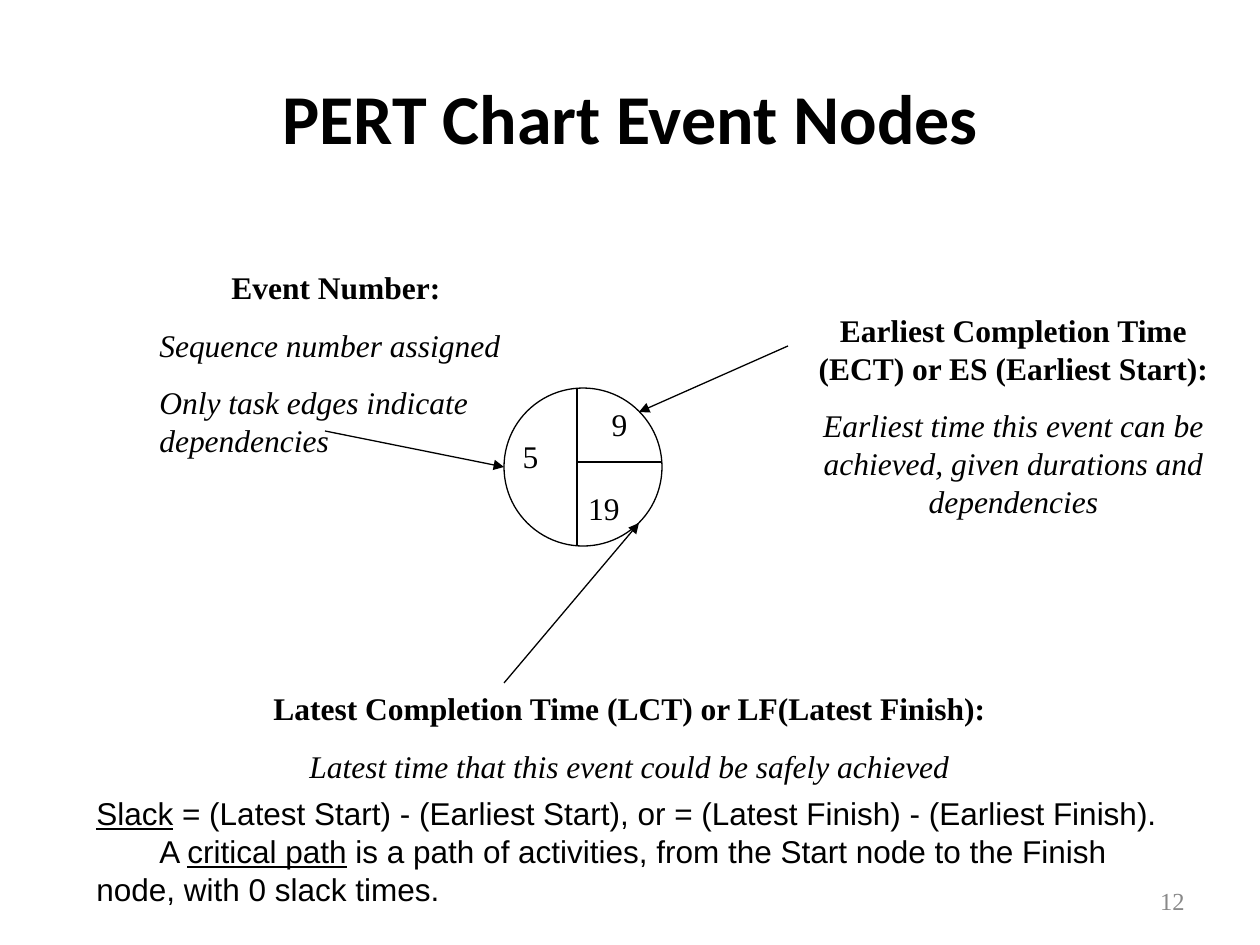
"""Build the slide that explains the parts of a PERT chart event node."""
from dataclasses import dataclass

from lxml.etree import SubElement
from pptx import Presentation
from pptx.dml.color import RGBColor
from pptx.enum.shapes import MSO_CONNECTOR, MSO_SHAPE
from pptx.enum.text import MSO_ANCHOR, PP_ALIGN
from pptx.oxml.ns import qn
from pptx.util import Pt


@dataclass(frozen=True)
class Theme:
    ink: RGBColor = RGBColor(0, 0, 0)
    paper: RGBColor = RGBColor(255, 255, 255)
    muted: RGBColor = RGBColor(0x89, 0x89, 0x89)
    title_font: str = "Calibri"
    label_font: str = "Times New Roman"
    note_font: str = "Arial"
    title_size: int = 40
    text_size: int = 18
    number_size: int = 14
    paragraph_gap: float = 11.2
    line_width: float = 0.75


THEME = Theme()
EMU_PER_PX = 914400 / 126
SLIDE_SIZE = (1260, 945)

TITLE = "PERT Chart Event Nodes"
TITLE_BOX = (63, 38, 1134, 157)
SLIDE_NUMBER = "12"
SLIDE_NUMBER_BOX = (903, 876, 294, 50)

NODE_BOX = (504, 388, 158, 158)
DIVIDERS = [((577, 388), (577, 546)), ((577, 462), (662, 462))]
NODE_VALUES = [
    ("5", (504, 431, 53, 50)),
    ("9", (588, 399, 63, 50)),
    ("19", (557, 483, 94, 50)),
]

CALLOUTS = [
    {
        "box": (147, 262, 378, 204),
        "heading": "Event Number:",
        "details": ["Sequence number assigned", "Only task edges indicate dependencies"],
        "align": PP_ALIGN.LEFT,
        "arrow": ((325, 431), (504, 467)),
    },
    {
        "box": (798, 305, 431, 222),
        "heading": "Earliest Completion Time (ECT) or ES (Earliest Start):",
        "details": ["Earliest time this event can be achieved, given durations and dependencies"],
        "align": PP_ALIGN.CENTER,
        "arrow": ((788, 346), (639, 412)),
    },
    {
        "box": (136, 683, 987, 108),
        "heading": "Latest Completion Time (LCT) or LF(Latest Finish):",
        "details": ["Latest time that this event could be safely achieved"],
        "align": PP_ALIGN.CENTER,
        "arrow": ((504, 683), (639, 523)),
    },
]

NOTE_BOX = (84, 788, 1113, 126)
NOTE = [
    [("Slack", True),
     (" = (Latest Start) - (Earliest Start), or = (Latest Finish) - (Earliest Finish).", False)],
    [("\tA ", False), ("critical path", True),
     (" is a path of activities, from the Start node to the Finish node, with 0 slack times.", False)],
]


def px(values):
    return [round(value * EMU_PER_PX) for value in values]


def style(paragraph, font_name, size, color=THEME.ink, align=PP_ALIGN.LEFT, bold=False, italic=False):
    paragraph.alignment = align
    font = paragraph.font
    font.name, font.size, font.bold, font.italic = font_name, Pt(size), bold, italic
    font.color.rgb = color


def add_text_frame(slide, box):
    frame = slide.shapes.add_textbox(*px(box)).text_frame
    frame.word_wrap = True
    return frame


def add_paragraphs(frame, count):
    return [frame.paragraphs[0]] + [frame.add_paragraph() for _ in range(count - 1)]


def add_line(slide, start, end, arrow=False):
    line = slide.shapes.add_connector(MSO_CONNECTOR.STRAIGHT, *px(start + end))
    line.line.color.rgb = THEME.ink
    line.line.width = Pt(THEME.line_width)
    if arrow:
        SubElement(line.line._get_or_add_ln(), qn("a:tailEnd"), type="triangle")
    SubElement(line._element.spPr, qn("a:effectLst"))


def add_title(slide):
    title = slide.shapes.title
    title.left, title.top, title.width, title.height = px(TITLE_BOX)
    title.text_frame.text = TITLE
    title.text_frame.vertical_anchor = MSO_ANCHOR.MIDDLE
    style(title.text_frame.paragraphs[0], THEME.title_font, THEME.title_size,
          align=PP_ALIGN.CENTER, bold=True)


def add_slide_number(slide):
    frame = add_text_frame(slide, SLIDE_NUMBER_BOX)
    frame.text = SLIDE_NUMBER
    frame.vertical_anchor = MSO_ANCHOR.MIDDLE
    style(frame.paragraphs[0], THEME.label_font, THEME.number_size, THEME.muted, PP_ALIGN.RIGHT)


def add_node(slide):
    circle = slide.shapes.add_shape(MSO_SHAPE.OVAL, *px(NODE_BOX))
    circle.shadow.inherit = False
    circle.fill.solid()
    circle.fill.fore_color.rgb = THEME.paper
    circle.line.color.rgb = THEME.ink
    circle.line.width = Pt(THEME.line_width)
    for start, end in DIVIDERS:
        add_line(slide, start, end)
    for value, box in NODE_VALUES:
        frame = add_text_frame(slide, box)
        frame.text = value
        style(frame.paragraphs[0], THEME.label_font, THEME.text_size, align=PP_ALIGN.CENTER)


def add_callout(slide, callout):
    add_line(slide, *callout["arrow"], arrow=True)
    texts = [callout["heading"], *callout["details"]]
    paragraphs = add_paragraphs(add_text_frame(slide, callout["box"]), len(texts))
    for index, (paragraph, text) in enumerate(zip(paragraphs, texts)):
        heading = index == 0
        paragraph.text = text
        paragraph.space_before = Pt(THEME.paragraph_gap)
        style(paragraph, THEME.label_font, THEME.text_size, bold=heading, italic=not heading,
              align=PP_ALIGN.CENTER if heading else callout["align"])


def add_note(slide):
    paragraphs = add_paragraphs(add_text_frame(slide, NOTE_BOX), len(NOTE))
    for paragraph, pieces in zip(paragraphs, NOTE):
        style(paragraph, THEME.note_font, THEME.text_size)
        for text, underlined in pieces:
            run = paragraph.add_run()
            run.text = text
            run.font.underline = underlined


def main():
    presentation = Presentation()
    presentation.slide_width, presentation.slide_height = px(SLIDE_SIZE)
    slide = presentation.slides.add_slide(presentation.slide_layouts.get_by_name("Title Only"))
    add_title(slide)
    add_slide_number(slide)
    add_node(slide)
    for callout in CALLOUTS:
        add_callout(slide, callout)
    add_note(slide)
    presentation.save("out.pptx")


if __name__ == "__main__":
    main()
